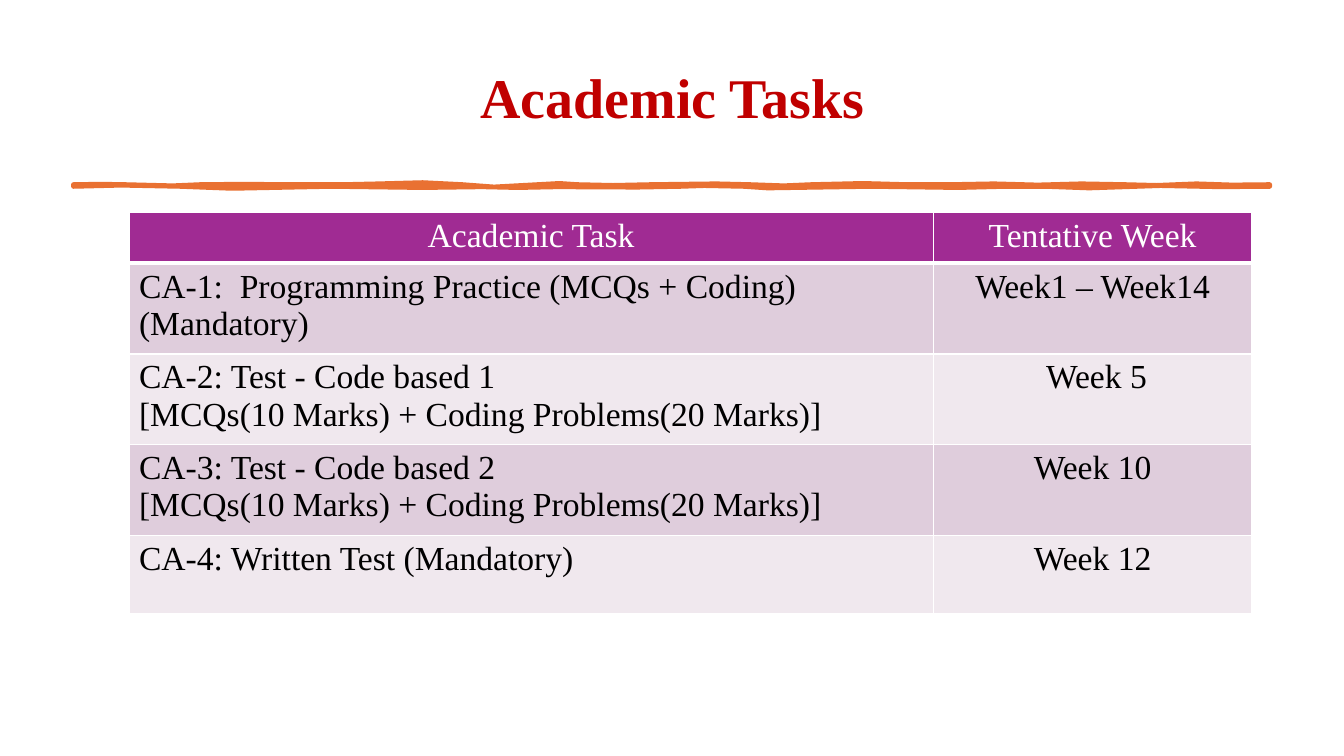
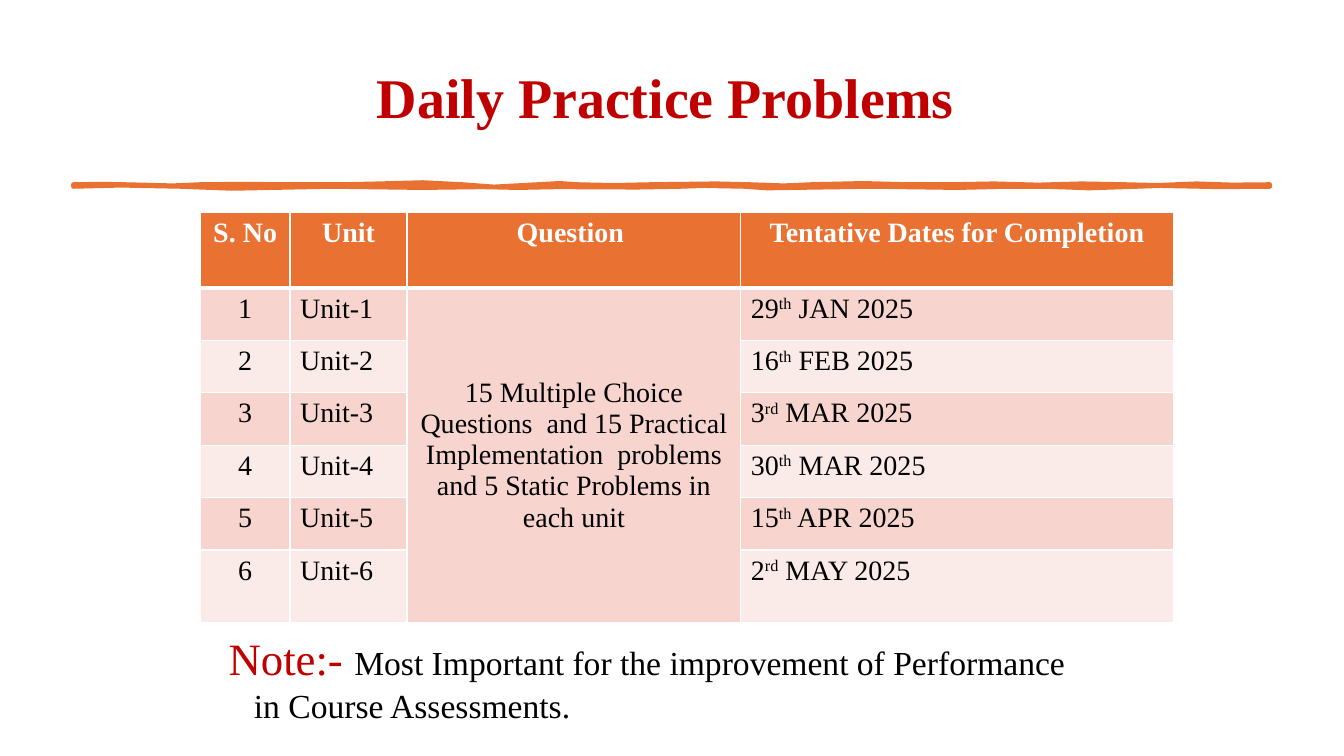
from lxml import etree
from pptx import Presentation
from pptx import util as u
from pptx.dml.color import RGBColor
from pptx.enum import text
from pptx.oxml.ns import qn

FONT = "Times New Roman"
COLOURS = {
    "title": "C00000", "ink": "000000", "white": "FFFFFF", "orange": "E97132",
    "purple": "A02B93", "mauve": "DFCDDC", "pale mauve": "F0E8EE",
    "peach": "F7D5CE", "pale peach": "FBEBE8",
}
LEFT, CENTRE = text.PP_ALIGN.LEFT, text.PP_ALIGN.CENTER
MIDDLE, TOP = text.MSO_ANCHOR.MIDDLE, text.MSO_ANCHOR.TOP

TITLE_BOX = (2.34, 1.02, 29.21, 3)
RULE_ORIGIN = (1.85, 4.65)
# Hundredths of a centimetre, clockwise round the hand-drawn rule
RULE_OUTLINE = [
    (0, 0), (70, -1), (130, 0), (250, 3), (320, 0), (430, -1), (540, 0), (680, 0),
    (770, -2), (880, -5), (980, 0), (1060, 6), (1170, 0), (1225, -3), (1270, 0),
    (1360, 2), (1455, 0), (1620, -2), (1705, 0), (1790, 3), (1860, 0), (1990, -3),
    (2100, 0), (2210, 0), (2320, -2), (2430, 1), (2540, -2), (2650, 0), (2730, 2),
    (2830, -2), (2920, 1), (3015, 0), (3015, 5), (2890, 6), (2740, 3), (2560, 9),
    (2450, 5), (2350, 5), (2230, 8), (2010, 5), (1750, 9), (1690, 5), (1590, 3),
    (1530, 5), (1420, 7), (1220, 6), (1120, 8), (1030, 6), (880, 8), (650, 5),
    (400, 10), (270, 5), (120, 2), (0, 5),
]


def rgb(name):
    return RGBColor.from_string(COLOURS[name])


def set_font(font, size, colour, bold=False):
    font.name, font.size, font.bold = FONT, u.Pt(size), bold
    font.color.rgb = rgb(colour)


def add_text_box(page, box):
    frame = page.shapes.add_textbox(*map(u.Cm, box)).text_frame
    frame.word_wrap = True
    frame.vertical_anchor = MIDDLE
    return frame.paragraphs[0]


def add_title(page, title):
    para = add_text_box(page, TITLE_BOX)
    para.text = title
    para.alignment, para.line_spacing = CENTRE, 0.9
    set_font(para.font, 40, "title", bold=True)


def add_rule(page):
    builder = page.shapes.build_freeform(*RULE_OUTLINE[0], scale=u.Cm(0.01))
    builder.add_line_segments(RULE_OUTLINE[1:], close=True)
    rule = builder.convert_to_shape(*map(u.Cm, RULE_ORIGIN))
    rule.shadow.inherit = False
    rule.fill.solid()
    rule.fill.fore_color.rgb = rgb("orange")
    rule.line.color.rgb = rgb("orange")
    rule.line.width = u.Pt(3.25)
    etree.SubElement(rule.line._get_or_add_ln(), qn("a:round"))


def add_borders(cell, bottom):
    """Draw white cell edges, one point wide except the bottom one."""
    props = cell._tc.get_or_add_tcPr()
    for edge, width in zip("LRTB", (1, 1, 1, bottom)):
        line = etree.SubElement(props, qn(f"a:ln{edge}"), w=str(u.Pt(width)))
        fill = etree.SubElement(line, qn("a:solidFill"))
        etree.SubElement(fill, qn("a:srgbClr"), val=COLOURS["white"])


def fill_cell(cell, content, size, colour, fill, align, bold=False, bottom=1):
    """Write the content; text between carets is raised."""
    add_borders(cell, bottom)
    cell.fill.solid()
    cell.fill.fore_color.rgb = rgb(fill)
    frame = cell.text_frame
    for index, line in enumerate(content.split("\n")):
        para = frame.add_paragraph() if index else frame.paragraphs[0]
        para.alignment = align
        set_font(para.font, size, colour, bold)
        for part, words in enumerate(line.split("^")):
            span = para.add_run()
            span.text = words
            if part % 2:
                span._r.get_or_add_rPr().set("baseline", "30000")


def add_table(page, origin, widths, heights, rows, aligns, size, fills, bold_head):
    """Fills are the header's, then the two that alternate below it."""
    extent = (sum(widths), sum(heights))
    table = page.shapes.add_table(len(rows), len(widths),
                                  *map(u.Cm, origin + extent)).table
    for column, width in zip(table.columns, widths):
        column.width = u.Cm(width)
    for row, height in zip(table.rows, heights):
        row.height = u.Cm(height)
    head, *bands = fills
    for r, row in enumerate(rows):
        for c, content in enumerate(row):
            cell = table.cell(r, c)
            if r == 0:
                fill_cell(cell, content, size, "white", head, CENTRE, bold_head, 3)
            else:
                fill_cell(cell, content, size, "ink", bands[(r - 1) % 2], aligns[c])
    return table


def add_note(page, box, label, lines):
    para = add_text_box(page, box)
    hang = u.Cm(0.64)
    props = para._p.get_or_add_pPr()
    props.set("marL", str(hang))
    props.set("indent", str(-hang))
    span = para.add_run()
    span.text = label
    set_font(span.font, 32, "title")
    for index, line in enumerate(lines):
        if index:
            para.add_line_break()
        span = para.add_run()
        span.text = line
        set_font(span.font, 24, "ink")


def add_page(deck, title):
    page = deck.slides.add_slide(deck.slide_layouts[6])
    add_title(page, title)
    add_rule(page)
    return page


def add_tasks_page(deck):
    page = add_page(deck, "Academic Tasks")
    marks = "[MCQs(10 Marks) + Coding Problems(20 Marks)]"
    rows = [
        ("Academic Task", "Tentative Week"),
        ("CA-1:  Programming Practice (MCQs + Coding)\n(Mandatory)", "Week1 – Week14"),
        (f"CA-2: Test - Code based 1\n{marks}", " Week 5"),
        (f"CA-3: Test - Code based 2\n{marks}", "Week 10"),
        ("CA-4: Written Test (Mandatory)", "Week 12"),
    ]
    add_table(page, (3.25, 5.36), (20.27, 8.03), (1.14, 2.06, 2.06, 2.06, 1.96), rows,
              (LEFT, CENTRE), 24, ("purple", "mauve", "pale mauve"), bold_head=False)


def add_practice_page(deck):
    page = add_page(deck, "Daily Practice Problems ")
    dates = ["29^th^ JAN 2025", "16^th^ FEB 2025", "3^rd^ MAR 2025",
             "30^th^ MAR 2025", "15^th^ APR 2025", "2^rd^ MAY 2025"]
    rows = [("S. No", "Unit", "Question ", "Tentative Dates for Completion")]
    rows += [(str(n), f"Unit-{n}", "", date) for n, date in enumerate(dates, 1)]
    rows[1] = (*rows[1][:2], "15 Multiple Choice Questions  and 15 Practical "
               "Implementation  problems and 5 Static Problems in each unit", rows[1][3])
    table = add_table(page, (5.05, 5.36), (2.26, 2.95, 8.41, 10.9),
                      (1.9, *[1.32] * 5, 1.83), rows, (CENTRE, LEFT, CENTRE, LEFT), 20,
                      ("orange", "peach", "pale peach"), bold_head=True)
    question = table.cell(1, 2)
    question.merge(table.cell(len(dates), 2))
    question.vertical_anchor = MIDDLE
    add_note(page, (5.51, 15.49, 22.86, 3.18), "Note:- ",
             ["Most Important for the improvement of Performance",
              "in Course Assessments."])


def main():
    deck = Presentation()
    deck.slide_width, deck.slide_height = u.Cm(33.87), u.Cm(19.05)
    add_tasks_page(deck)
    add_practice_page(deck)
    deck.save("out.pptx")


if __name__ == "__main__":
    main()
